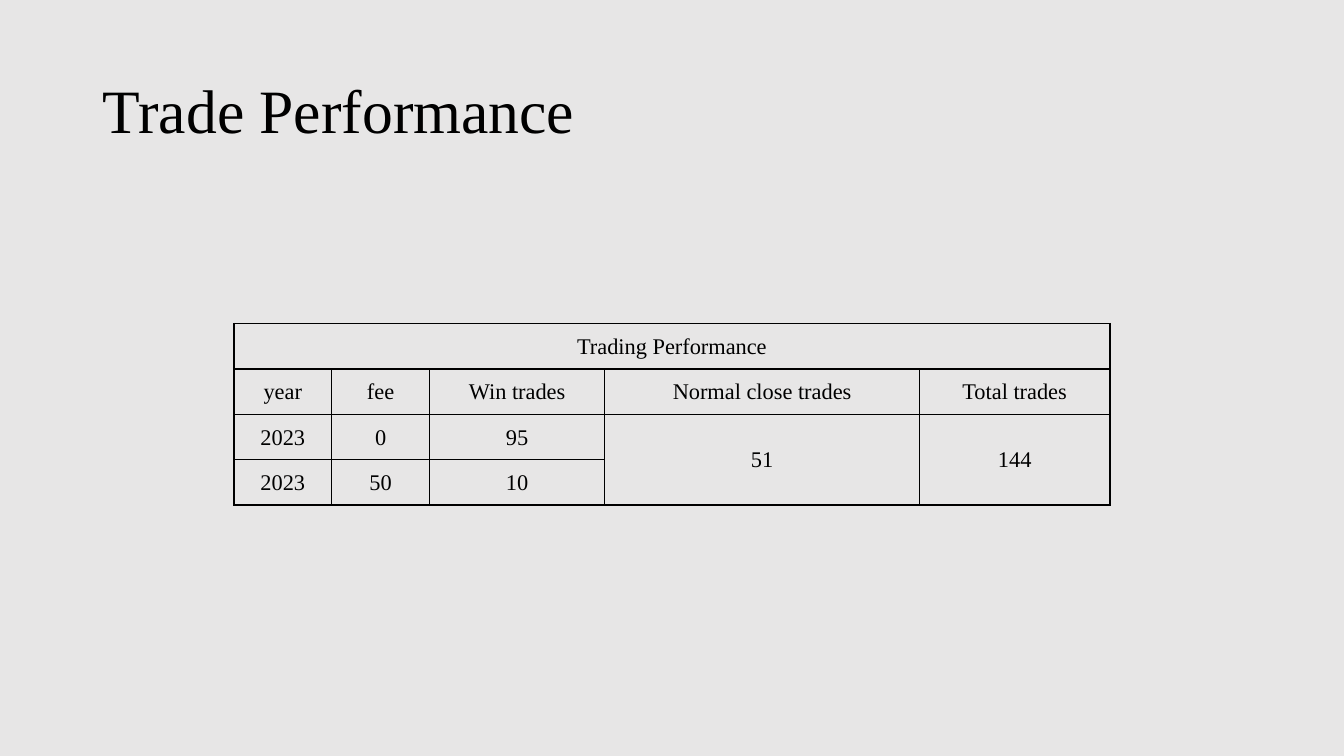
from lxml.etree import SubElement
from pptx import Presentation
from pptx.dml.color import RGBColor
from pptx.enum.text import MSO_ANCHOR, PP_ALIGN
from pptx.oxml.ns import qn
from pptx.util import Inches, Pt

TITLE = "Trade Performance"
ROWS = [
    ["Trading Performance", "", "", "", ""],
    ["year", "fee", "Win trades", "Normal close trades", "Total trades"],
    ["2023", "0", "95", "51", "144"],
    ["2023", "50", "10", "", ""],
]
# Merged areas: first (row, column) to last (row, column)
MERGES = [((0, 0), (0, 4)), ((2, 3), (3, 3)), ((2, 4), (3, 4))]
COLUMN_WIDTHS = [0.97, 0.97, 1.74, 3.12, 1.89]
ROW_HEIGHT = 0.45
TABLE_LEFT, TABLE_TOP = 2.32, 3.21
FONT, INK, PAPER = "Times New Roman", "000000", "E7E6E6"


def color(value):
    return RGBColor.from_string(value)


def style_paragraph(para, size):
    for span in para.runs:
        span.font.name = FONT
        span.font.size = Pt(size)
        span.font.color.rgb = color(INK)


def add_borders(cell):
    properties = cell._tc.get_or_add_tcPr()
    for side in ("a:lnL", "a:lnR", "a:lnT", "a:lnB"):
        line = SubElement(properties, qn(side), w=str(Pt(1)))
        fill = SubElement(line, qn("a:solidFill"))
        SubElement(fill, qn("a:srgbClr"), val=INK)


def style_cell(cell, text):
    add_borders(cell)
    cell.fill.background()
    cell.margin_left = cell.margin_right = cell.margin_top = Inches(0.01)
    cell.margin_bottom = 0
    cell.vertical_anchor = MSO_ANCHOR.MIDDLE
    cell.text_frame.text = text
    para = cell.text_frame.paragraphs[0]
    para.alignment = PP_ALIGN.CENTER
    para.font.size = Pt(16)
    style_paragraph(para, 16)


def main():
    deck = Presentation()
    deck.slide_width, deck.slide_height = Inches(13.33), Inches(7.5)
    page = deck.slides.add_slide(deck.slide_layouts[5])
    page.background.fill.solid()
    page.background.fill.fore_color.rgb = color(PAPER)

    # Title
    title = page.shapes.title
    title.left, title.top = Inches(0.92), Inches(0.4)
    title.width, title.height = Inches(11.5), Inches(1.45)
    title.text_frame.text = TITLE
    title.text_frame.vertical_anchor = MSO_ANCHOR.MIDDLE
    heading = title.text_frame.paragraphs[0]
    heading.alignment = PP_ALIGN.LEFT
    heading.line_spacing = 0.9
    style_paragraph(heading, 44)

    # Table
    frame = page.shapes.add_table(
        len(ROWS), len(COLUMN_WIDTHS), Inches(TABLE_LEFT), Inches(TABLE_TOP),
        Inches(sum(COLUMN_WIDTHS)), Inches(ROW_HEIGHT * len(ROWS)))
    table = frame.table
    table.first_row = table.horz_banding = False
    for column, width in zip(table.columns, COLUMN_WIDTHS):
        column.width = Inches(width)
    for row, texts in zip(table.rows, ROWS):
        row.height = Inches(ROW_HEIGHT)
        for cell, text in zip(row.cells, texts):
            style_cell(cell, text)
    for first, last in MERGES:
        table.cell(*first).merge(table.cell(*last))

    deck.save("out.pptx")


if __name__ == "__main__":
    main()
